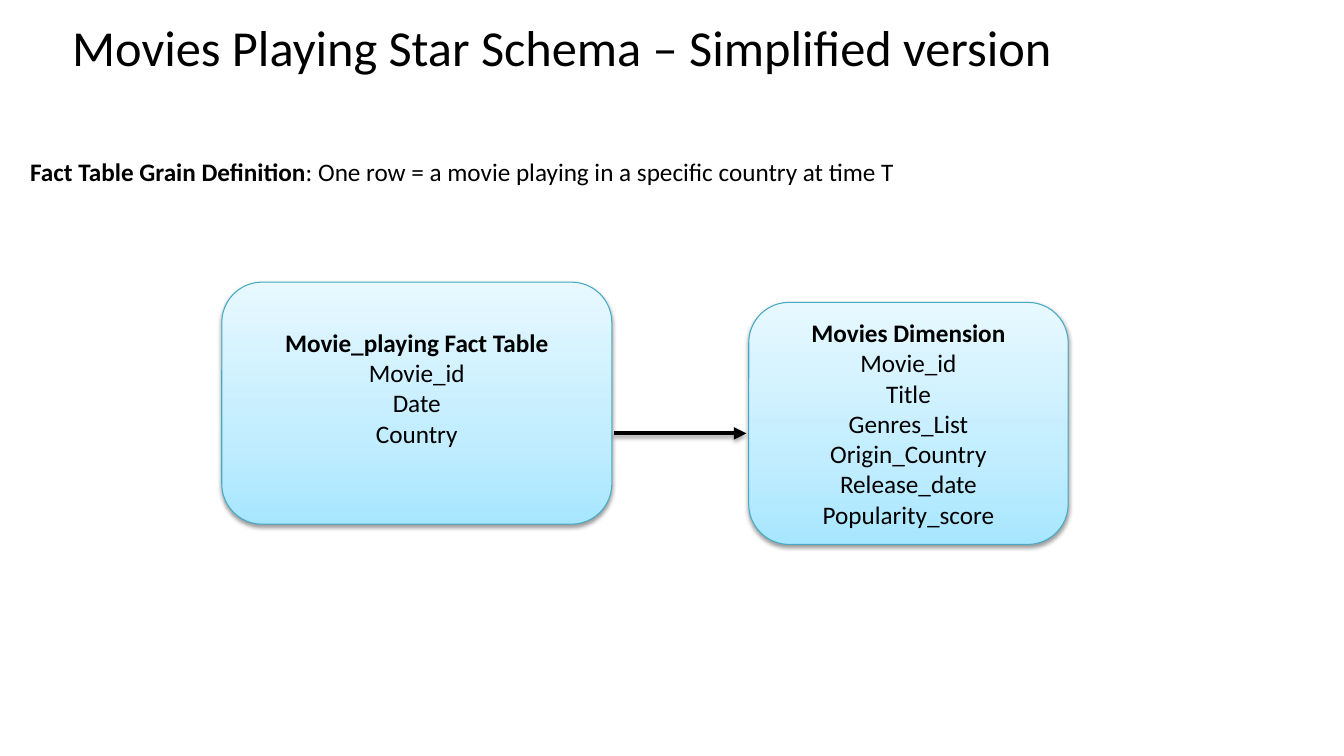
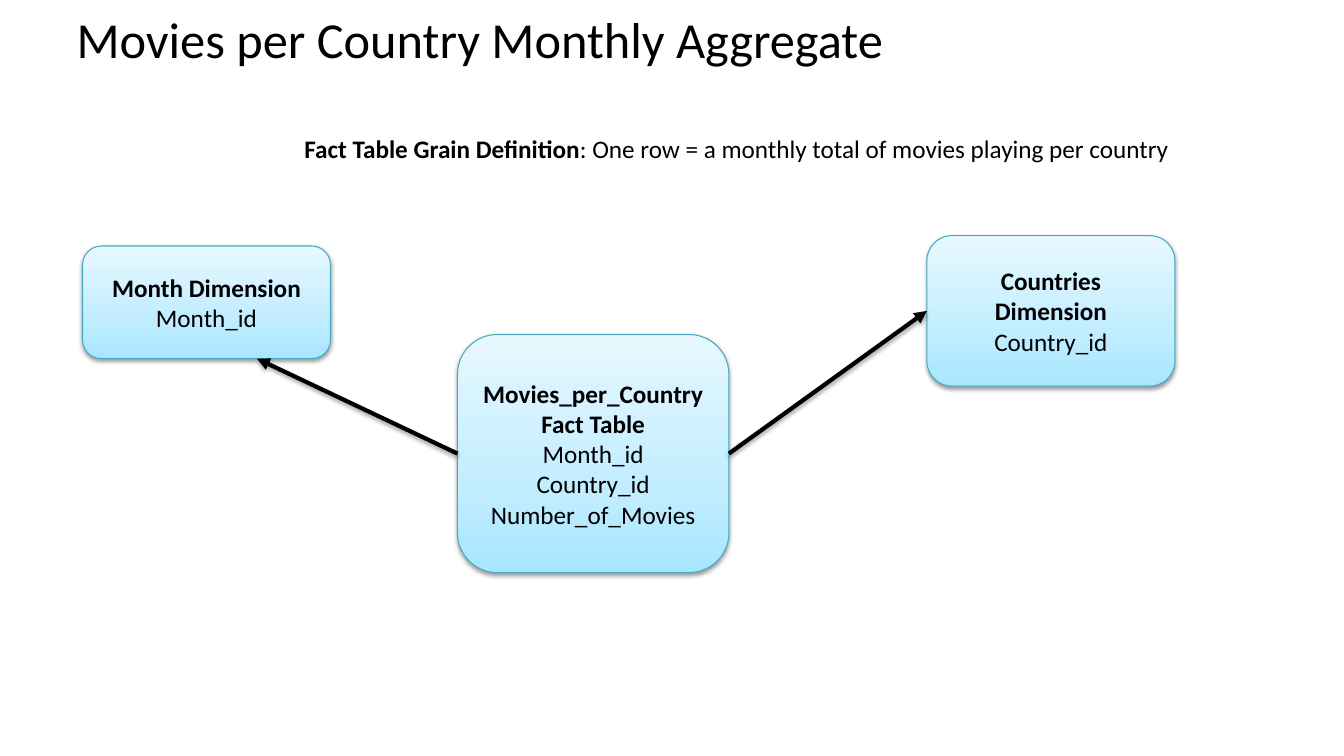
from dataclasses import dataclass

from lxml.etree import SubElement
from pptx import Presentation
from pptx.dml.color import RGBColor as Rgb
from pptx.enum.shapes import MSO_CONNECTOR as Link, MSO_SHAPE as Shape
from pptx.enum.text import MSO_ANCHOR as Anchor, PP_ALIGN as Align
from pptx.oxml.ns import qn
from pptx.slide import Slide
from pptx.text.text import TextFrame
from pptx.util import Cm, Pt

BLACK = Rgb(0x00, 0x00, 0x00)
EDGE = Rgb(0x46, 0xAA, 0xC4)
STOPS = (
    (0, Rgb(0xA7, 0xE6, 0xFF)),
    (35, Rgb(0xC1, 0xED, 0xFF)),
    (100, Rgb(0xE7, 0xF8, 0xFF)),
)
FONT = "Calibri"
DEGREE = 60000
PERCENT = 1000

Run = tuple[str, bool]
Point = tuple[float, float]


@dataclass(frozen=True)
class Table:
    """A box for one table of the schema; lengths are in centimetres."""
    heads: tuple[str, ...]
    fields: tuple[str, ...]
    left: float
    top: float
    width: float
    height: float
    foot: float = 0.13

    @property
    def right(self) -> float:
        return self.left + self.width

    @property
    def base(self) -> float:
        return self.top + self.height

    @property
    def middle(self) -> float:
        return self.top + self.height / 2


@dataclass(frozen=True)
class Page:
    title: str
    title_at: Point
    grain: str
    grain_at: Point
    tables: tuple[Table, ...]
    arrows: tuple[tuple[Point, Point], ...]


def write(frame: TextFrame, lines: list[list[Run]], *, size: int = 18,
          align: Align = Align.LEFT, anchor: Anchor = Anchor.TOP,
          spacing: float = 1.0, foot: float = 0.13) -> None:
    """Fill a frame with paragraphs of (text, bold) runs."""
    frame.word_wrap = True
    frame.vertical_anchor = anchor
    frame.margin_bottom = Cm(foot)
    for i, line in enumerate(lines):
        para = frame.paragraphs[0] if i == 0 else frame.add_paragraph()
        para.alignment = align
        para.line_spacing = spacing
        for text, bold in line:
            run = para.add_run()
            run.text = text
            run.font.name = FONT
            run.font.size = Pt(size)
            run.font.bold = bold
            run.font.color.rgb = BLACK


def shade(props, alpha: int, dist: float) -> None:
    """Add a soft shadow that falls straight down."""
    effects = SubElement(props, qn("a:effectLst"))
    shadow = SubElement(effects, qn("a:outerShdw"), blurRad=str(Pt(3.1)),
                        dist=str(Pt(dist)), dir=str(90 * DEGREE),
                        rotWithShape="0")
    color = SubElement(shadow, qn("a:srgbClr"), val=str(BLACK))
    SubElement(color, qn("a:alpha"), val=str(alpha * PERCENT))


def blend(props) -> None:
    """Add the three-stop gradient, running from bottom to top."""
    grad = SubElement(props, qn("a:gradFill"), rotWithShape="1")
    stops = SubElement(grad, qn("a:gsLst"))
    for pos, color in STOPS:
        stop = SubElement(stops, qn("a:gs"), pos=str(pos * PERCENT))
        SubElement(stop, qn("a:srgbClr"), val=str(color))
    SubElement(grad, qn("a:lin"), ang=str(270 * DEGREE), scaled="0")


def add_title(slide: Slide, text: str, at: Point) -> None:
    box = slide.shapes.add_textbox(Cm(at[0]), Cm(at[1]), Cm(29.2), Cm(1.4))
    write(box.text_frame, [[(text, False)]], size=36,
          anchor=Anchor.MIDDLE, spacing=0.9)


def add_grain(slide: Slide, text: str, at: Point) -> None:
    box = slide.shapes.add_textbox(Cm(at[0]), Cm(at[1]), Cm(25), Cm(1))
    write(box.text_frame,
          [[("Fact Table Grain Definition", True), (f": {text}", False)]])


def add_box(slide: Slide, table: Table) -> None:
    box = slide.shapes.add_shape(
        Shape.ROUNDED_RECTANGLE, Cm(table.left), Cm(table.top),
        Cm(table.width), Cm(table.height))
    props = box.element.spPr
    blend(props)
    box.line.color.rgb = EDGE
    box.line.width = Pt(0.75)
    shade(props, 38, 1.6)
    lines = [[(head, True)] for head in table.heads]
    lines += [[(field, False)] for field in table.fields]
    write(box.text_frame, lines, align=Align.CENTER,
          anchor=Anchor.MIDDLE, foot=table.foot)


def add_arrow(slide: Slide, start: Point, end: Point) -> None:
    arrow = slide.shapes.add_connector(
        Link.STRAIGHT, Cm(start[0]), Cm(start[1]), Cm(end[0]), Cm(end[1]))
    arrow.line.color.rgb = BLACK
    arrow.line.width = Pt(3)
    props = arrow.element.spPr
    SubElement(props.find(qn("a:ln")), qn("a:tailEnd"), type="triangle")
    shade(props, 35, 1.8)


PLAYING = Table(("Movie_playing Fact Table",),
                ("Movie_id", "Date", "Country"),
                5.59, 7.11, 9.83, 6.1, foot=0.9)
MOVIES = Table(("Movies Dimension",),
               ("Movie_id", "Title", "Genres_List", "Origin_Country",
                "Release_date", "Popularity_score"),
               18.87, 7.62, 8.05, 6.1)
TOTALS = Table(("Movies_per_Country", "Fact Table"),
               ("Month_id", "Country_id", "Number_of_Movies"),
               11.53, 8.43, 6.84, 6)
MONTH = Table(("Month Dimension",), ("Month_id",), 2.08, 6.2, 6.25, 2.84)
COUNTRY = Table(("Countries Dimension",), ("Country_id",),
                23.36, 5.94, 6.25, 3.79)
GAP = 0.06

PAGES = (
    Page("Movies Playing Star Schema – Simplified version", (1.57, 0.56),
         "One row = a movie playing in a specific country at time T",
         (0.51, 3.82), (PLAYING, MOVIES),
         (((PLAYING.right + GAP, 10.92), (MOVIES.left - GAP, 10.92)),)),
    Page("Movies per Country Monthly Aggregate", (1.68, 0.37),
         "One row = a monthly total of movies playing per country",
         (7.42, 3.24), (TOTALS, MONTH, COUNTRY),
         (((TOTALS.left, TOTALS.middle), (6.48, MONTH.base)),
          ((TOTALS.right, TOTALS.middle), (COUNTRY.left, COUNTRY.middle)))),
)


def main() -> None:
    deck = Presentation()
    deck.slide_width, deck.slide_height = Cm(33.87), Cm(19.05)
    blank = deck.slide_layouts[6]
    for page in PAGES:
        slide = deck.slides.add_slide(blank)
        add_title(slide, page.title, page.title_at)
        add_grain(slide, page.grain, page.grain_at)
        for table in page.tables:
            add_box(slide, table)
        for start, end in page.arrows:
            add_arrow(slide, start, end)
    deck.save("out.pptx")


if __name__ == "__main__":
    main()
